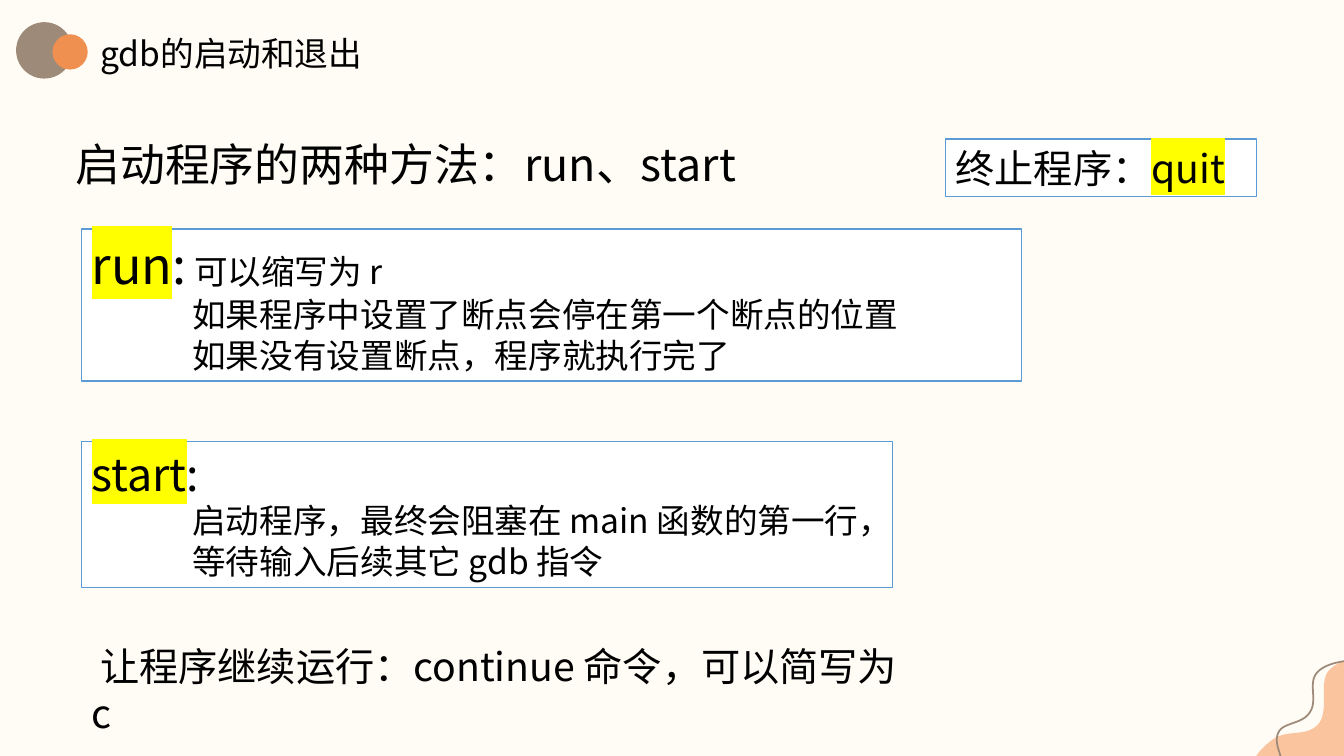
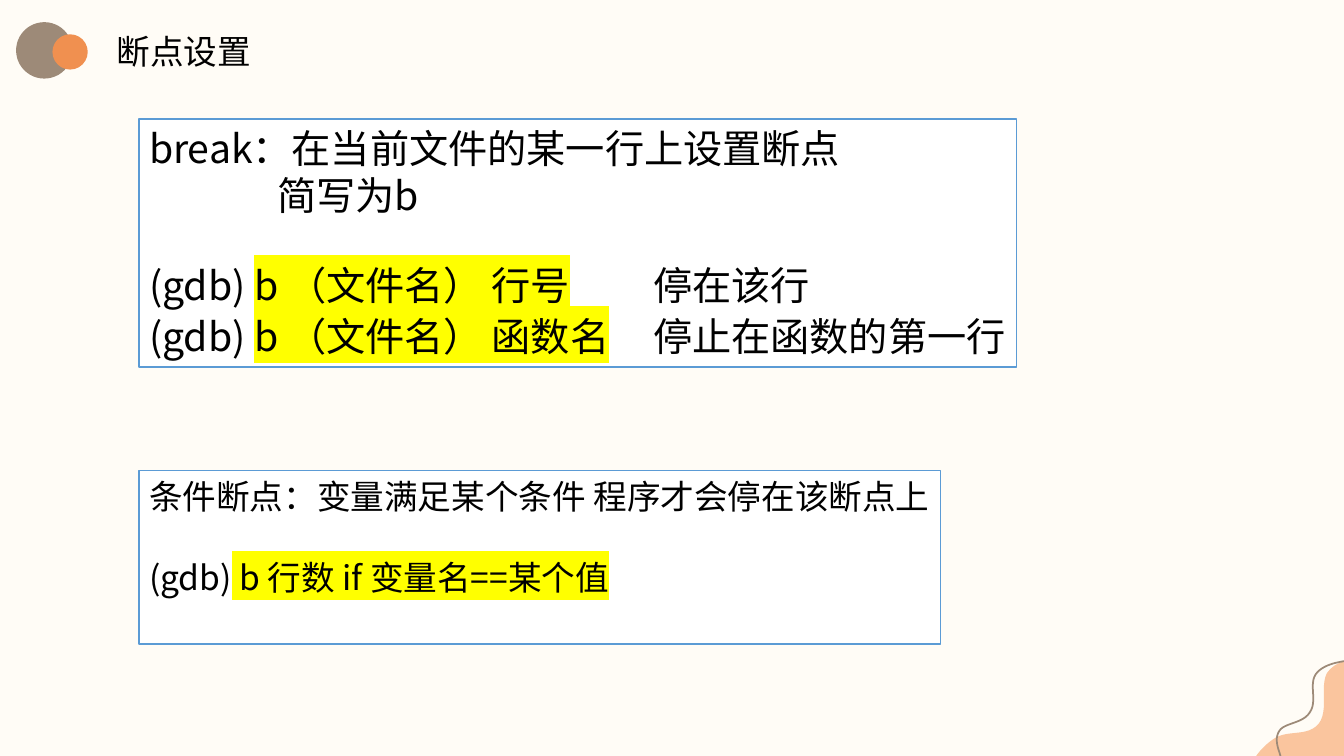
from lxml import etree
from pptx import Presentation
from pptx.dml.color import RGBColor
from pptx.enum import shapes, text
from pptx.oxml import ns
from pptx.util import Inches, Pt

FONT = "Noto Sans CJK SC"
COLORS = {
    "background": "FFFCF6",
    "brown": "9D8A78",
    "orange": "F09050",
    "peach": "FAC59E",
    "card": "FFFFFF",
    "border": "5B9BD5",
    "text": "000000",
    "highlight": "FFFF00",
}
CURVE_STEPS = 12

# Each wave is a start point followed by cubic segments of three points.
PEACH_WAVE = [
    (12.46, 7.5),
    (12.5, 7.44), (12.57, 7.37), (12.65, 7.32),
    (12.79, 7.24), (12.97, 7.31), (13.08, 7.18),
    (13.18, 7.05), (13.09, 6.82), (13.16, 6.68),
    (13.21, 6.61), (13.27, 6.58), (13.33, 6.56),
]
BROWN_WAVE = [
    (12.7, 7.5),
    (12.69, 7.45), (12.63, 7.34), (12.69, 7.25),
    (12.74, 7.17), (12.92, 7.18), (12.99, 7.07),
    (13.07, 6.96), (12.98, 6.79), (13.05, 6.69),
    (13.12, 6.59), (13.28, 6.57), (13.33, 6.56),
]


def color(name):
    return RGBColor.from_string(COLORS[name])


def fill_shape(shape, name):
    shape.shadow.inherit = False
    shape.fill.solid()
    shape.fill.fore_color.rgb = color(name)
    shape.line.fill.background()


def add_circle(page, left, top, diameter, fill):
    circle = page.shapes.add_shape(
        shapes.MSO_SHAPE.OVAL, Inches(left), Inches(top),
        Inches(diameter), Inches(diameter))
    fill_shape(circle, fill)


def curve_points(wave):
    """Sample the cubic segments of a wave into a list of points."""
    points = [wave[0]]
    for i in range(0, len(wave) - 1, 3):
        segment = wave[i:i + 4]
        for step in range(1, CURVE_STEPS + 1):
            t = step / CURVE_STEPS
            weights = ((1 - t) ** 3, 3 * t * (1 - t) ** 2,
                       3 * t ** 2 * (1 - t), t ** 3)
            points.append(tuple(
                sum(w * point[axis] for w, point in zip(weights, segment))
                for axis in (0, 1)))
    return points


def add_outline(page, points, close):
    corners = [(Inches(x), Inches(y)) for x, y in points]
    builder = page.shapes.build_freeform(*corners[0])
    builder.add_line_segments(corners[1:], close=close)
    return builder.convert_to_shape()


def add_corner_waves(page):
    peach = add_outline(page, curve_points(PEACH_WAVE) + [(13.33, 7.5)], True)
    fill_shape(peach, "peach")
    brown = add_outline(page, curve_points(BROWN_WAVE), False)
    brown.shadow.inherit = False
    brown.fill.background()
    brown.line.color.rgb = color("brown")
    brown.line.width = Pt(1.25)


def format_span(span, size, highlighted):
    span.font.size = Pt(size)
    span.font.color.rgb = color("text")
    span.font.name = FONT
    properties = span.font._element
    east_asian = etree.Element(ns.qn("a:ea"), typeface=FONT)
    properties.find(ns.qn("a:latin")).addnext(east_asian)
    if highlighted:
        highlight = etree.Element(ns.qn("a:highlight"))
        etree.SubElement(highlight, ns.qn("a:srgbClr"),
                         val=COLORS["highlight"])
        properties.find(ns.qn("a:solidFill")).addnext(highlight)


def line(*spans, indent=0, before=0, tab=0):
    """Describe a paragraph; a span is (text, size) or (text, size, True)."""
    return spans, indent, before, tab


def write(box, lines, align=text.PP_ALIGN.LEFT):
    frame = box.text_frame
    frame.word_wrap = True
    frame.vertical_anchor = text.MSO_ANCHOR.TOP
    for number, (spans, indent, before, tab) in enumerate(lines):
        para = frame.add_paragraph() if number else frame.paragraphs[0]
        para.alignment = align
        if before:
            para.space_before = Pt(before)
        properties = para._p.get_or_add_pPr()
        if indent:
            properties.set("marL", str(Inches(indent)))
            properties.set("indent", "0")
        if tab:
            stops = etree.SubElement(properties, ns.qn("a:tabLst"))
            etree.SubElement(stops, ns.qn("a:tab"),
                             pos=str(Inches(tab)), algn="l")
        for words, size, *highlighted in spans:
            span = para.add_run()
            span.text = words
            format_span(span, size, bool(highlighted))


def add_text(page, left, top, width, height, lines, **options):
    box = page.shapes.add_textbox(
        Inches(left), Inches(top), Inches(width), Inches(height))
    write(box, lines, **options)


def add_card(page, left, top, width, height, lines):
    card = page.shapes.add_shape(
        shapes.MSO_SHAPE.RECTANGLE, Inches(left), Inches(top),
        Inches(width), Inches(height))
    fill_shape(card, "card")
    card.line.color.rgb = color("border")
    card.line.width = Pt(1)
    card.text_frame.margin_right = Inches(0.02)
    write(card, lines)


def add_page(deck, title, left, top):
    """Add a slide with the shared background, circles, waves and title."""
    page = deck.slides.add_slide(deck.slide_layouts[6])
    page.background.fill.solid()
    page.background.fill.fore_color.rgb = color("background")
    add_circle(page, 0.16, 0.22, 0.56, "brown")
    add_circle(page, 0.52, 0.34, 0.35, "orange")
    add_text(page, left, top, 2.87, 0.46, [line((title, 24))],
             align=text.PP_ALIGN.CENTER)
    add_corner_waves(page)
    return page


def add_start_page(deck):
    page = add_page(deck, "gdb的启动和退出", 0.86, 0.28)
    add_card(page, 0.81, 2.27, 9.32, 1.51, [
        line(("run", 36, True), (":", 36), (" 可以缩写为 r", 24)),
        line(("如果程序中设置了断点会停在第一个断点的位置", 24), indent=1),
        line(("如果没有设置断点，程序就执行完了", 24), indent=1),
    ])
    add_card(page, 0.81, 4.38, 8.04, 1.45, [
        line(("start", 32, True), (":", 32)),
        line(("启动程序，最终会阻塞在 main 函数的第一行，", 24), indent=1),
        line(("等待输入后续其它 gdb 指令", 24), indent=1),
    ])
    add_text(page, 0.65, 1.31, 7.9, 0.64,
             [line(("启动程序的两种方法：run、start", 32))])
    add_text(page, 0.81, 6.32, 8.24, 0.57,
             [line((" 让程序继续运行：continue 命令，可以简写为 c", 28))])
    add_card(page, 9.38, 1.38, 3.08, 0.57,
             [line(("终止程序：", 28), ("quit", 28, True))])


def add_breakpoint_page(deck):
    page = add_page(deck, "断点设置", 0.39, 0.26)
    add_card(page, 1.38, 1.18, 8.7, 2.46, [
        line(("break：在当前文件的某一行上设置断点", 28)),
        line(("简写为b", 28), indent=1.27),
        line(("(gdb) ", 28), ("b （文件名） 行号", 28, True),
             ("\t停在该行", 28), before=31, tab=5),
        line(("(gdb) ", 28), ("b （文件名） 函数名", 28, True),
             ("\t停止在函数的第一行", 28), before=3, tab=5),
    ])
    add_card(page, 1.38, 4.67, 7.95, 1.72, [
        line(("条件断点：变量满足某个条件 程序才会停在该断点上", 24)),
        line(("(gdb)", 24), (" b 行数 if 变量名==某个值", 24, True),
             before=29),
    ])


def main():
    deck = Presentation()
    deck.slide_width = Inches(13.33)
    deck.slide_height = Inches(7.5)
    add_start_page(deck)
    add_breakpoint_page(deck)
    deck.save("out.pptx")


if __name__ == "__main__":
    main()
